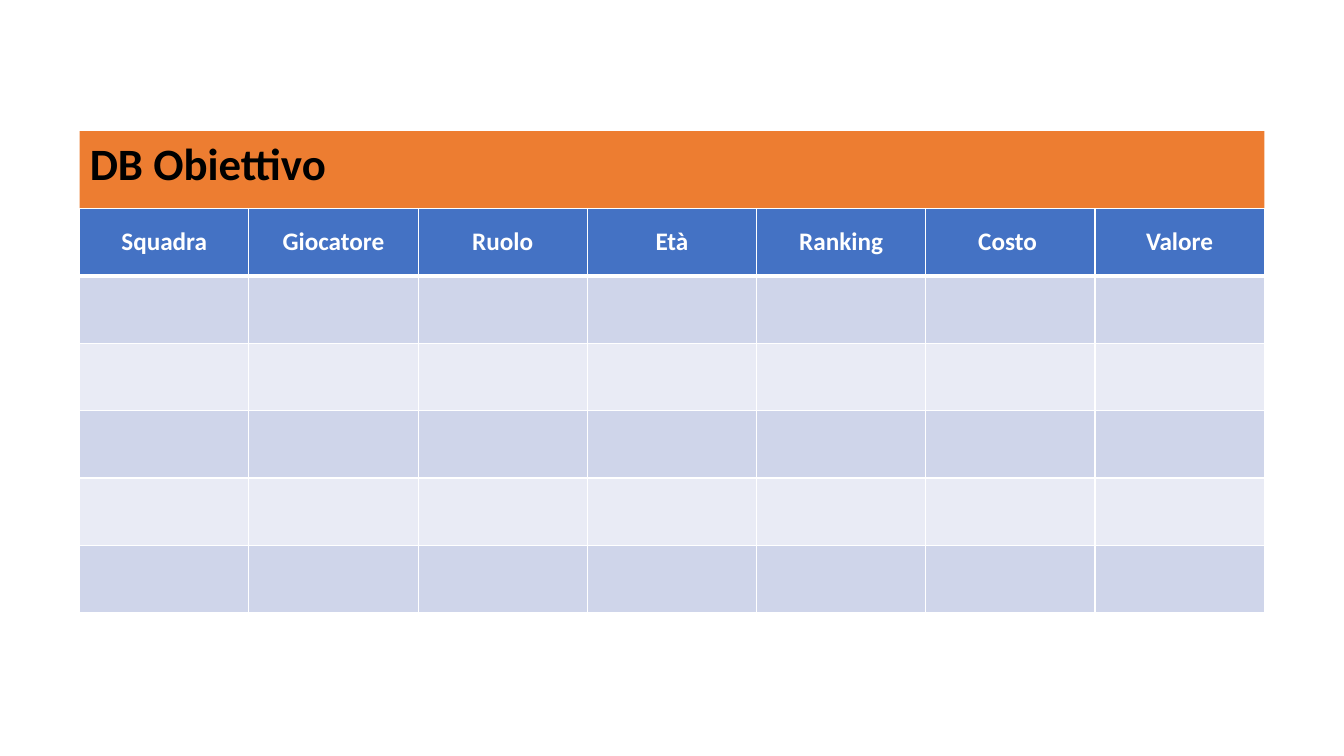
"""Build the target database slide: a title band above an empty player table."""
import dataclasses

import lxml.etree
import pptx
import pptx.dml.color
import pptx.enum.text
import pptx.oxml.ns
import pptx.util


@dataclasses.dataclass(frozen=True)
class Theme:
    font: str = "Calibri"
    title_size: int = 32
    header_size: int = 18
    title_text: str = "000000"
    title_fill: str = "ED7D31"
    header_text: str = "FFFFFF"
    header_fill: str = "4472C4"
    band_fills: tuple = ("CFD5EA", "E9EBF5")
    border: str = "FFFFFF"
    thin_border: int = 1
    thick_border: int = 3


def style_font(font, size, color):
    font.name = theme.font
    font.size = pptx.util.Pt(size)
    font.bold = True
    font.color.rgb = pptx.dml.color.RGBColor.from_string(color)


def add_border(cell, side, width):
    properties = cell._tc.get_or_add_tcPr()
    line = lxml.etree.SubElement(
        properties, pptx.oxml.ns.qn(f"a:{side}"), w=str(pptx.util.Pt(width)))
    fill = lxml.etree.SubElement(line, pptx.oxml.ns.qn("a:solidFill"))
    lxml.etree.SubElement(fill, pptx.oxml.ns.qn("a:srgbClr"), val=theme.border)


theme = Theme()
headers = ["Squadra", "Giocatore", "Ruolo", "Età", "Ranking", "Costo ", "Valore"]
row_count = 6

presentation = pptx.Presentation()
presentation.slide_width = pptx.util.Inches(13.33)
presentation.slide_height = pptx.util.Inches(7.5)
slide = presentation.slides.add_slide(presentation.slide_layouts[5])

left = pptx.util.Inches(0.79)
width = pptx.util.Inches(11.75)
title_top = pptx.util.Inches(1.3)
title_height = pptx.util.Inches(0.64)
table_top = pptx.util.Inches(2.07)
table_height = pptx.util.Inches(4.01)

title = slide.shapes.title
title.left, title.top, title.width, title.height = left, title_top, width, title_height
title.fill.solid()
title.fill.fore_color.rgb = pptx.dml.color.RGBColor.from_string(theme.title_fill)
title.text_frame.text = "DB Obiettivo"
title.text_frame.auto_size = pptx.enum.text.MSO_AUTO_SIZE.SHAPE_TO_FIT_TEXT
title.text_frame.vertical_anchor = pptx.enum.text.MSO_ANCHOR.TOP
title_paragraph = title.text_frame.paragraphs[0]
title_paragraph.alignment = pptx.enum.text.PP_ALIGN.LEFT
style_font(title_paragraph.font, theme.title_size, theme.title_text)

table = slide.shapes.add_table(
    row_count, len(headers), left, table_top, width, table_height).table

for row in range(row_count):
    row_fill = theme.band_fills[(row - 1) % 2] if row else theme.header_fill
    top_border = theme.thick_border if row == 1 else theme.thin_border
    bottom_border = theme.thin_border if row else theme.thick_border
    for column in range(len(headers)):
        cell = table.cell(row, column)
        add_border(cell, "lnL", theme.thin_border)
        add_border(cell, "lnR", theme.thin_border)
        add_border(cell, "lnT", top_border)
        add_border(cell, "lnB", bottom_border)
        cell.fill.solid()
        cell.fill.fore_color.rgb = pptx.dml.color.RGBColor.from_string(row_fill)

for column, header in enumerate(headers):
    cell = table.cell(0, column)
    cell.text = header
    cell.vertical_anchor = pptx.enum.text.MSO_ANCHOR.MIDDLE
    paragraph = cell.text_frame.paragraphs[0]
    paragraph.alignment = pptx.enum.text.PP_ALIGN.CENTER
    style_font(paragraph.font, theme.header_size, theme.header_text)

presentation.save("out.pptx")
